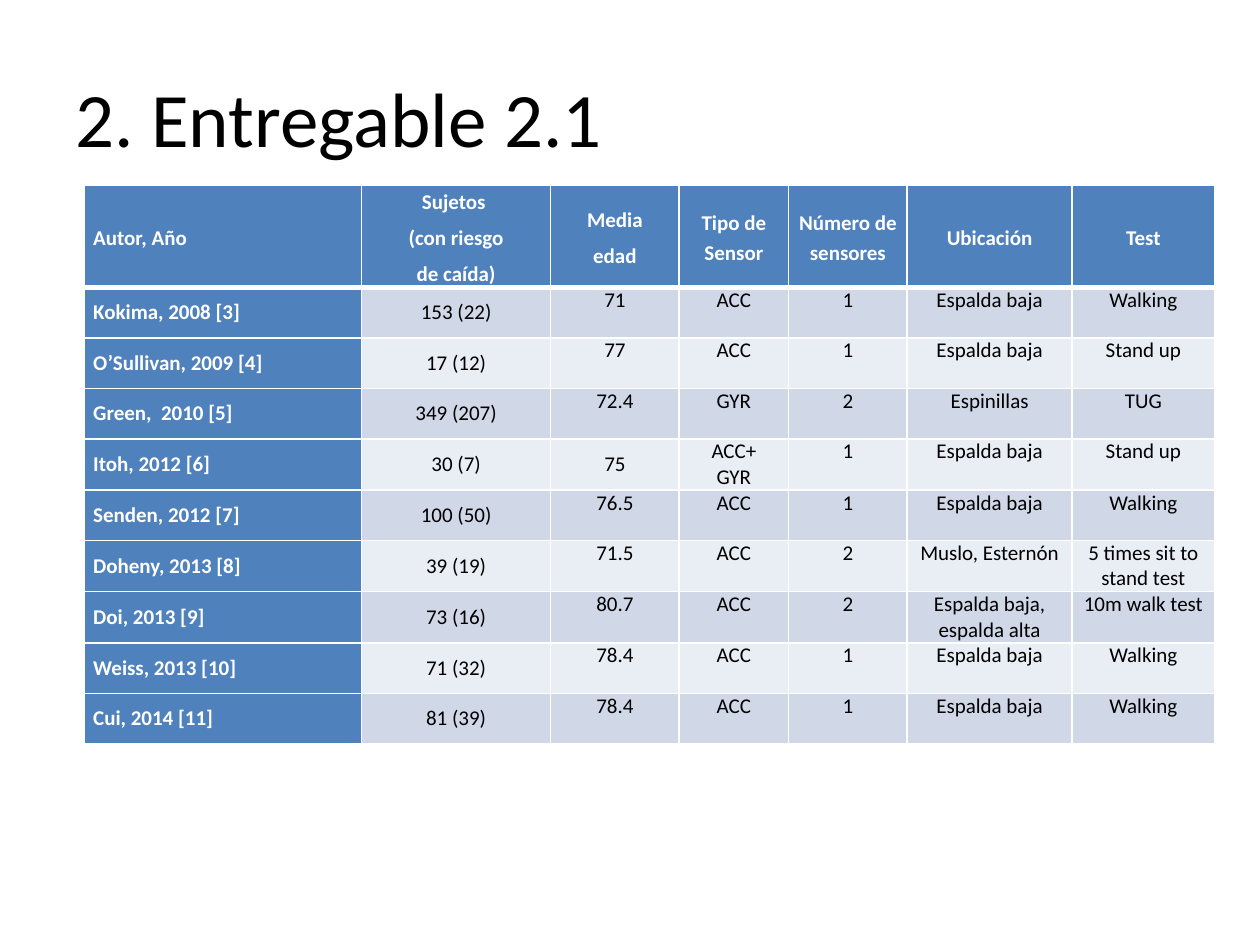
from lxml.etree import SubElement
from pptx import Presentation
from pptx.dml.color import RGBColor
from pptx.enum.text import MSO_ANCHOR as Anchor, PP_ALIGN as Align
from pptx.oxml.ns import qn
from pptx.util import Pt

PX = 9144  # EMU per px, 100 px to the inch
FONT = "Calibri"
BLACK = RGBColor(0x00, 0x00, 0x00)
WHITE = RGBColor(0xFF, 0xFF, 0xFF)
BLUE = RGBColor(0x4F, 0x81, 0xBD)
BANDS = RGBColor(0xD0, 0xD8, 0xE8), RGBColor(0xE9, 0xED, 0xF4)

TITLE_BOX = 50, 30, 900, 125
TABLE_BOX = 67, 147, 897, 440
COLUMN_WIDTHS = 220, 150, 102, 87, 94, 131, 113
HEADER_HEIGHT = 80

HEADER = ("Autor, Año", "Sujetos \n(con riesgo\nde caída)", "Media\nedad",
          "Tipo de Sensor", "Número de sensores", "Ubicación", "Test")
STUDIES = [
    ("Kokima, 2008 [3]", "153 (22)", "71", "ACC", "1", "Espalda baja", "Walking"),
    ("O’Sullivan, 2009 [4]", "17 (12)", "77", "ACC", "1", "Espalda baja", "Stand up"),
    ("Green,  2010 [5]", "349 (207)", "72.4", "GYR", "2", "Espinillas", "TUG"),
    ("Itoh, 2012 [6]", "30 (7)", "75", "ACC+\nGYR", "1", "Espalda baja", "Stand up"),
    ("Senden, 2012 [7]", "100 (50)", "76.5", "ACC", "1", "Espalda baja", "Walking"),
    ("Doheny, 2013 [8]", "39 (19)", "71.5", "ACC", "2", "Muslo, Esternón",
     "5 times sit to stand test"),
    ("Doi, 2013 [9]", "73 (16)", "80.7", "ACC", "2", "Espalda baja, espalda alta",
     "10m walk test"),
    ("Weiss, 2013 [10]", "71 (32)", "78.4", "ACC", "1", "Espalda baja", "Walking"),
    ("Cui, 2014 [11]", "81 (39)", "78.4", "ACC", "1", "Espalda baja", "Walking"),
]
MIDDLE_AGE_CELL = 4, 2  # the one age that is centred vertically


def format_runs(paragraph, size, color, bold=False):
    for run in paragraph.runs:
        font = run.font
        font.name, font.size, font.bold = FONT, Pt(size), bold
        font.color.rgb = color


def add_title(slide, box, text):
    title = slide.shapes.title
    title.left, title.top, title.width, title.height = (n * PX for n in box)
    frame = title.text_frame
    frame.text = text
    frame.vertical_anchor = Anchor.MIDDLE
    paragraph = frame.paragraphs[0]
    paragraph.alignment = Align.LEFT
    format_runs(paragraph, 44, BLACK)


def set_borders(cell, top, bottom):
    """Draw white borders; must run before the fill, which follows them in the XML."""
    properties = cell._tc.get_or_add_tcPr()
    for tag, points in (("lnL", 1), ("lnR", 1), ("lnT", top), ("lnB", bottom)):
        line = SubElement(properties, qn("a:" + tag), w=str(Pt(points)))
        fill = SubElement(line, qn("a:solidFill"))
        SubElement(fill, qn("a:srgbClr"), val=str(WHITE))


def format_cell(cell, row, column, text):
    is_header = row == 0
    is_label = is_header or column == 0
    set_borders(cell, top=3 if row == 1 else 1, bottom=3 if is_header else 1)
    cell.fill.solid()
    cell.fill.fore_color.rgb = BLUE if is_label else BANDS[(row - 1) % 2]
    cell.margin_left = cell.margin_right = 7 * PX
    cell.margin_top = cell.margin_bottom = 0
    in_middle = is_header or column < 2 or (row, column) == MIDDLE_AGE_CELL
    cell.vertical_anchor = Anchor.MIDDLE if in_middle else Anchor.TOP
    cell.text_frame.text = text
    for paragraph in cell.text_frame.paragraphs:
        paragraph.alignment = Align.CENTER if column else Align.JUSTIFY
        if is_header:
            paragraph.line_spacing = 1.15
            paragraph.space_before = paragraph.space_after = Pt(2)
        format_runs(paragraph, 12, WHITE if is_label else BLACK, is_label)


def add_study_table(slide, box, header, studies):
    rows = [header, *studies]
    frame = slide.shapes.add_table(len(rows), len(header), *(n * PX for n in box))
    table = frame.table
    table.first_col = True
    for column, width in zip(table.columns, COLUMN_WIDTHS):
        column.width = width * PX
    study_height = (box[3] - HEADER_HEIGHT) // len(studies)
    for row, texts in enumerate(rows):
        table.rows[row].height = (study_height if row else HEADER_HEIGHT) * PX
        for column, text in enumerate(texts):
            format_cell(table.cell(row, column), row, column, text)


def main():
    presentation = Presentation()
    presentation.slide_width, presentation.slide_height = 1000 * PX, 750 * PX
    slide = presentation.slides.add_slide(presentation.slide_layouts[5])
    add_title(slide, TITLE_BOX, "2. Entregable 2.1")
    add_study_table(slide, TABLE_BOX, HEADER, STUDIES)
    presentation.save("out.pptx")


if __name__ == "__main__":
    main()
